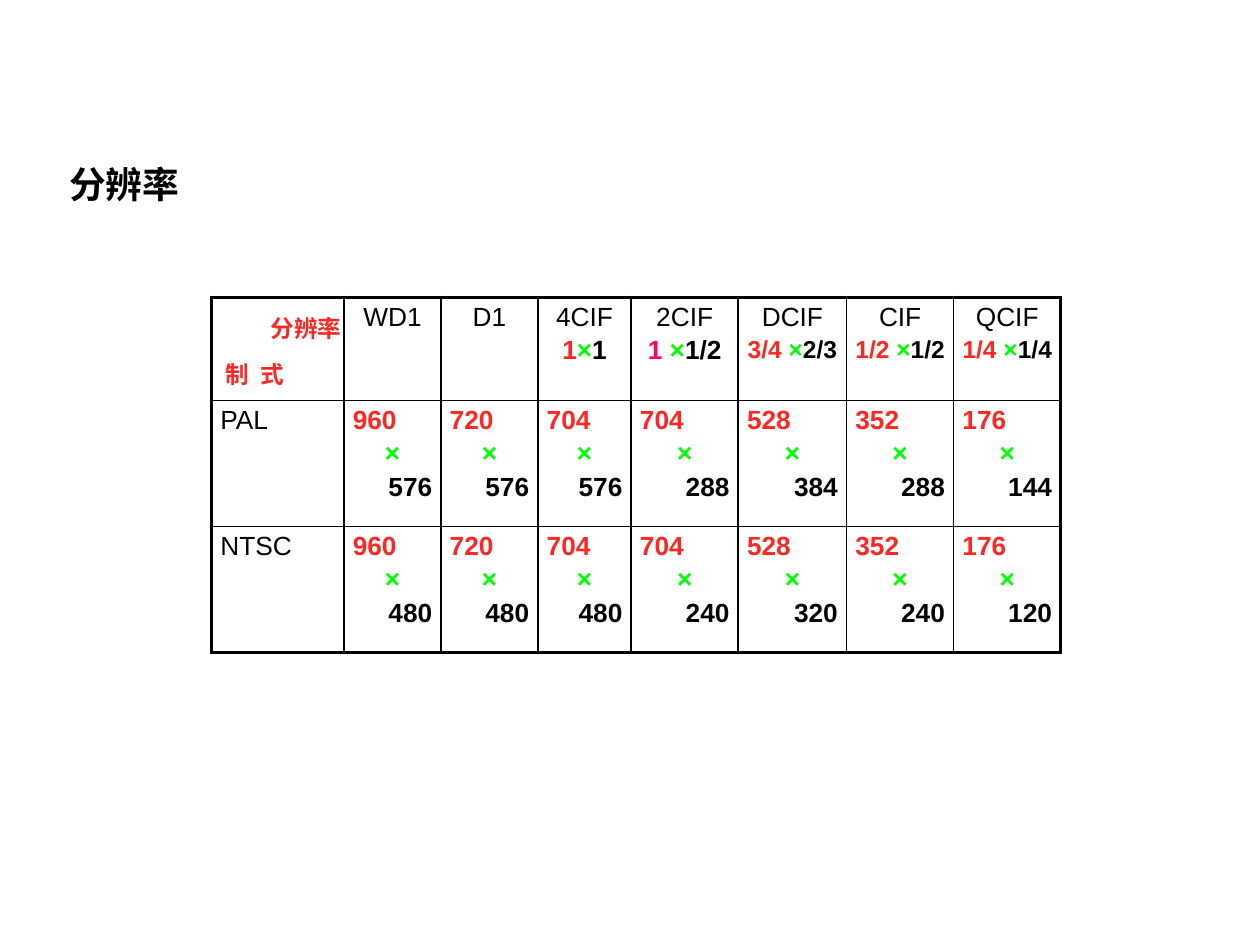
from lxml import etree
from pptx import Presentation
from pptx.dml.color import RGBColor
from pptx.enum.text import MSO_ANCHOR, PP_ALIGN
from pptx.oxml.ns import qn
from pptx.util import Inches, Pt

LEFT, CENTER, RIGHT = PP_ALIGN.LEFT, PP_ALIGN.CENTER, PP_ALIGN.RIGHT
MIDDLE = MSO_ANCHOR.MIDDLE
FONT = "Arial"
BLACK, RED, GREEN, PINK = "000000", "FD2823", "00FF00", "FF0066"
THIN, THICK = 1, 2.25

COL_WIDTHS = [1.05, 0.77, 0.77, 0.74, 0.85, 0.86, 0.85, 0.85]
ROW_HEIGHTS = [0.82, 1, 1]
# format name, horizontal ratio, vertical ratio, ratio size, ratio colour
FORMATS = [
    ("WD1", None, None, 15, RED),
    ("D1", None, None, 15, RED),
    ("4CIF", "1", "1", 15, RED),
    ("2CIF", "1 ", "1/2", 15, PINK),
    ("DCIF", "3/4 ", "2/3", 14, RED),
    ("CIF", "1/2 ", "1/2", 14, RED),
    ("QCIF", "1/4 ", "1/4", 14, RED),
]
WIDTHS = [960, 720, 704, 704, 528, 352, 176]
HEIGHTS = {
    "PAL": [576, 576, 576, 288, 384, 288, 144],
    "NTSC": [480, 480, 480, 240, 320, 240, 120],
}


def rgb(color):
    return RGBColor.from_string(color)


def add_run(p, text, size, color=BLACK, bold=False):
    r = p.add_run()
    r.text = text
    r.font.name = FONT
    r.font.size = Pt(size)
    r.font.bold = bold
    r.font.color.rgb = rgb(color)
    return r


def add_label(slide, text, left, top, width, height, size, color, spacing=0):
    """Bold one-line text box; spacing is extra letter spacing in points."""
    tf = slide.shapes.add_textbox(
        Inches(left), Inches(top), Inches(width), Inches(height)).text_frame
    tf.word_wrap = True
    tf.vertical_anchor = MIDDLE
    r = add_run(tf.paragraphs[0], text, size, color, True)
    if spacing:
        r.font._element.set("spc", str(round(spacing * 100)))


def fill_cell(cell, paragraphs):
    """Write (alignment, runs) pairs, each run being (text, size, color, bold)."""
    tf = cell.text_frame
    for i, (align, runs) in enumerate(paragraphs):
        p = tf.add_paragraph() if i else tf.paragraphs[0]
        p.alignment = align
        p.space_before = Pt(2.5 if i else 0)
        for run in runs:
            add_run(p, *run)


def set_borders(cell, widths):
    tc_pr = cell._tc.get_or_add_tcPr()
    for side, width in zip("LRTB", widths):
        ln = etree.SubElement(tc_pr, qn(f"a:ln{side}"), w=str(Pt(width)))
        fill = etree.SubElement(ln, qn("a:solidFill"))
        etree.SubElement(fill, qn("a:srgbClr"), val=BLACK)


def style_table(table):
    """Plain cells with thin inner lines and a thick outer frame."""
    last_row, last_col = len(ROW_HEIGHTS) - 1, len(COL_WIDTHS) - 1
    for row in range(last_row + 1):
        for col in range(last_col + 1):
            cell = table.cell(row, col)
            cell.margin_left = cell.margin_right = Inches(0.07)
            cell.margin_top = cell.margin_bottom = Inches(0.04)
            outer = (col == 0, col == last_col, row == 0, row == last_row)
            set_borders(cell, [THICK if edge else THIN for edge in outer])
            cell.fill.background()


def add_resolution_table(slide):
    table = slide.shapes.add_table(
        len(ROW_HEIGHTS), len(COL_WIDTHS), Inches(1.68), Inches(2.36),
        Inches(sum(COL_WIDTHS)), Inches(sum(ROW_HEIGHTS))).table
    table.first_row = table.horz_banding = False
    for column, width in zip(table.columns, COL_WIDTHS):
        column.width = Inches(width)
    for row, height in zip(table.rows, ROW_HEIGHTS):
        row.height = Inches(height)
    style_table(table)

    for col, (name, across, down, size, color) in enumerate(FORMATS, 1):
        paragraphs = [(CENTER, [(name, 15)])]
        if across:
            paragraphs.append((CENTER, [(across, size, color, True),
                                        ("×", size, GREEN, True),
                                        (down, size, BLACK, True)]))
        fill_cell(table.cell(0, col), paragraphs)

    for row, (standard, heights) in enumerate(HEIGHTS.items(), 1):
        fill_cell(table.cell(row, 0), [(LEFT, [(standard, 15)])])
        for col, (width, height) in enumerate(zip(WIDTHS, heights), 1):
            fill_cell(table.cell(row, col), [
                (LEFT, [(str(width), 15, RED, True)]),
                (CENTER, [("×", 15, GREEN, True)]),
                (RIGHT, [(str(height), 15, BLACK, True)]),
            ])


def main():
    prs = Presentation()
    prs.slide_width, prs.slide_height = Inches(10), Inches(7.5)
    slide = prs.slides.add_slide(prs.slide_layouts[6])
    add_label(slide, "分辨率", 0.45, 1.25, 7.48, 0.41, 21, BLACK)
    add_resolution_table(slide)
    add_label(slide, "分辨率", 2.05, 2.44, 0.81, 0.33, 13.5, RED)
    add_label(slide, "制 式", 1.69, 2.8, 0.81, 0.33, 13.5, RED, spacing=1.9)
    prs.save("out.pptx")


if __name__ == "__main__":
    main()
